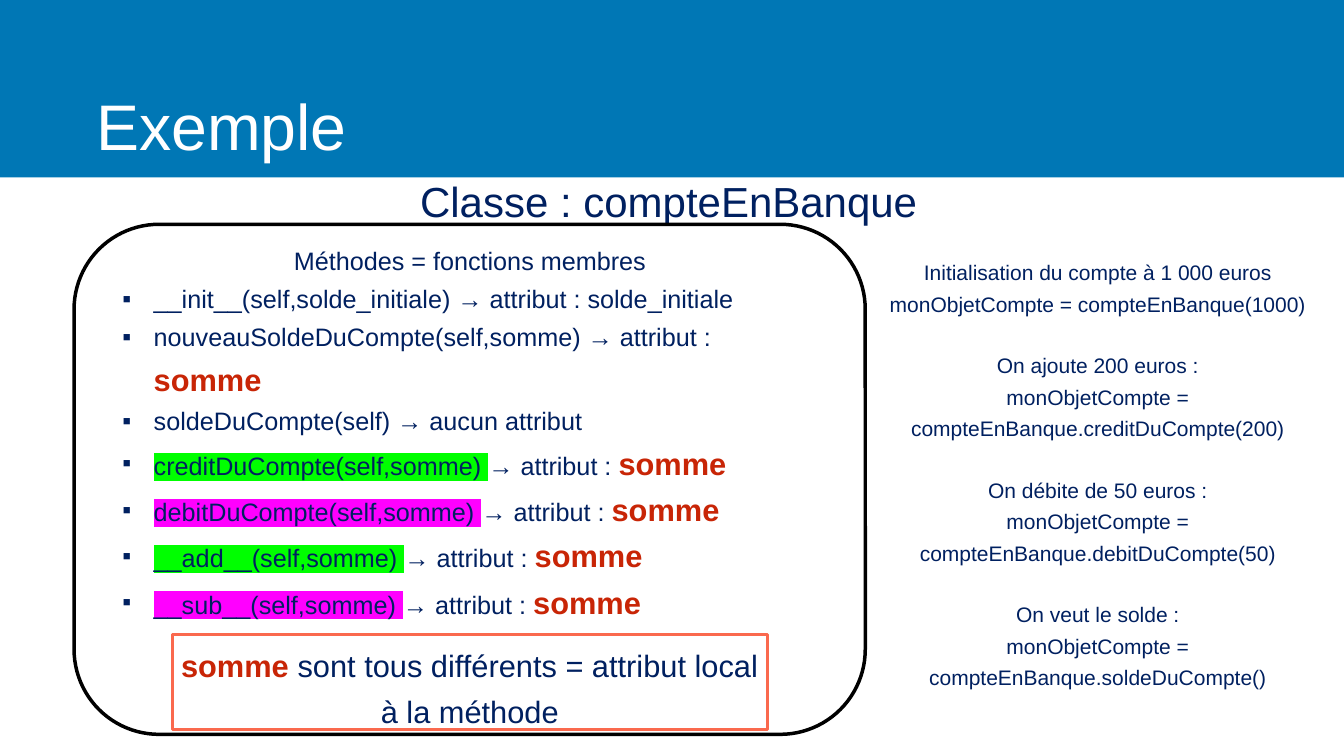
from collections import namedtuple

from lxml.etree import SubElement
from pptx import Presentation
from pptx.dml.color import RGBColor
from pptx.enum.shapes import MSO_SHAPE as Preset
from pptx.enum.text import MSO_ANCHOR as Anchor, PP_ALIGN as Align
from pptx.oxml import parse_xml
from pptx.oxml.ns import nsdecls, qn
from pptx.util import Inches, Pt

COLORS = {
    "band": "0077B5", "white": "FFFFFF", "navy": "002060", "red": "C82506",
    "black": "000000", "coral": "FA694E", "green": "00FF00", "magenta": "FF00FF",
}
FONT = "Arial"
LINE_SPACING = 1.25
INSET = Inches(0.08)
INDENT = Inches(0.62)

Box = namedtuple("Box", "left top width height")
Style = namedtuple("Style", "size color bold highlight", defaults=("navy", False, None))

BODY = Style(36)
KEYWORD = Style(44, "red", True)

# Method signature, its highlight, text after the arrow, whether "somme" follows
METHODS = [
    ("__init__(self,solde_initiale) ", None, "→ attribut : solde_initiale", False),
    ("nouveauSoldeDuCompte(self,somme) ", None, "→ attribut : ", True),
    ("soldeDuCompte(self) ", None, "→ aucun attribut", False),
    ("creditDuCompte(self,somme) ", "green", "→ attribut : ", True),
    ("debitDuCompte(self,somme) ", "magenta", "→ attribut : ", True),
    ("__add__(self,somme) ", "green", "→ attribut : ", True),
    ("__sub__(self,somme) ", "magenta", "→ attribut : ", True),
]
USAGES = [
    ("Initialisation du compte à 1 000 euros", "compteEnBanque(1000)"),
    ("On ajoute 200 euros :", "compteEnBanque.creditDuCompte(200)"),
    ("On débite de 50 euros :", "compteEnBanque.debitDuCompte(50)"),
    ("On veut le solde :", "compteEnBanque.soldeDuCompte()"),
]


def part(box, left, top, width, height):
    """Box whose place and size are percentages of the given box."""
    return Box(int(box.left + box.width * left / 100),
               int(box.top + box.height * top / 100),
               int(box.width * width / 100), int(box.height * height / 100))


def rgb(name):
    return RGBColor.from_string(COLORS[name])


def add_panel(slide, box, preset, fill=None, line=None):
    shape = slide.shapes.add_shape(preset, *box)
    shape.shadow.inherit = False
    if fill:
        shape.fill.solid()
        shape.fill.fore_color.rgb = rgb(fill)
    else:
        shape.fill.background()
    if line:
        shape.line.color.rgb = rgb(line)
        shape.line.width = Pt(5)
    else:
        shape.line.fill.background()
    return shape


def add_text_box(slide, box, anchor=Anchor.TOP, inset=INSET):
    text_frame = slide.shapes.add_textbox(*box).text_frame
    text_frame.word_wrap = True
    text_frame.vertical_anchor = anchor
    if inset is not None:
        text_frame.margin_left = text_frame.margin_right = inset
        text_frame.margin_top = text_frame.margin_bottom = inset
    return text_frame


def write(text_frame, runs, align=Align.LEFT):
    """Fill the first paragraph if it is free, otherwise a new one."""
    paragraph = text_frame.paragraphs[-1]
    if paragraph.runs:
        paragraph = text_frame.add_paragraph()
    paragraph.alignment = align
    paragraph.line_spacing = LINE_SPACING
    for text, style in runs:
        run = paragraph.add_run()
        run.text = text
        run.font.size = Pt(style.size)
        run.font.bold = style.bold
        run.font.name = FONT
        run.font.color.rgb = rgb(style.color)
        if style.highlight:
            highlight = parse_xml(f'<a:highlight {nsdecls("a")}/>')
            SubElement(highlight, qn("a:srgbClr"), val=COLORS[style.highlight])
            run.font.fill  # the fill precedes the highlight
            run.font.fill.solid()
            run.font.color.rgb = rgb(style.color)
            run._r.rPr.find(qn("a:solidFill")).addnext(highlight)
    return paragraph


def add_bullet(paragraph):
    properties = paragraph._p.get_or_add_pPr()
    properties.set("marL", str(INDENT))
    properties.set("indent", str(-INDENT))
    SubElement(properties, qn("a:buFont"), typeface=FONT)
    SubElement(properties, qn("a:buChar"), char="▪")


def add_header(slide, box):
    add_panel(slide, box, Preset.RECTANGLE, fill="band")
    title = add_text_box(slide, part(box, 6.86, 35.51, 85.68, 59.94))
    write(title, [("Exemple", Style(92, "white"))])


def add_class_name(slide, box):
    heading = add_text_box(slide, box, Anchor.MIDDLE)
    write(heading, [("Classe : compteEnBanque", Style(60))], Align.CENTER)


def add_class_panel(slide, box):
    add_panel(slide, box, Preset.ROUNDED_RECTANGLE, line="black")

    # Method list
    methods = add_text_box(slide, part(box, 5.61, 3.06, 88.85, 74.21), Anchor.MIDDLE)
    write(methods, [("Méthodes = fonctions membres", BODY)], Align.CENTER)
    for signature, highlight, attribute, has_keyword in METHODS:
        runs = [(signature, BODY._replace(highlight=highlight)), (attribute, BODY)]
        if has_keyword:
            runs.append(("somme", KEYWORD))
        add_bullet(write(methods, runs))

    # Framed remark
    note_box = part(box, 12.42, 80.43, 75.22, 18.58)
    note = add_panel(slide, note_box, Preset.RECTANGLE, line="coral").text_frame
    note.word_wrap = True
    note.vertical_anchor = Anchor.TOP
    write(note, [("somme ", KEYWORD),
                 ("sont tous différents = attribut local à la méthode", Style(44))],
          Align.CENTER)


def add_usages(slide, box):
    style = Style(30)
    text_frame = add_text_box(slide, box, inset=None)
    for index, (purpose, call) in enumerate(USAGES):
        paragraph = write(text_frame, [(purpose, style)], Align.CENTER)
        if index:
            paragraph.space_before = Pt(43)
        write(text_frame, [(f"monObjetCompte = {call}", style)], Align.CENTER)


def main():
    presentation = Presentation()
    presentation.slide_width = Inches(26.67)
    presentation.slide_height = Inches(15)
    slide = presentation.slides.add_slide(presentation.slide_layouts[6])
    page = Box(0, 0, presentation.slide_width, presentation.slide_height)

    add_header(slide, part(page, 0, 0, 100, 23.47))
    add_class_name(slide, part(page, 13.76, 21.13, 71.99, 9.13))
    add_class_panel(slide, part(page, 5.51, 29.67, 58.87, 67.47))
    add_usages(slide, part(page, 63.89, 33.2, 35.58, 57.2))
    presentation.save("out.pptx")


if __name__ == "__main__":
    main()
